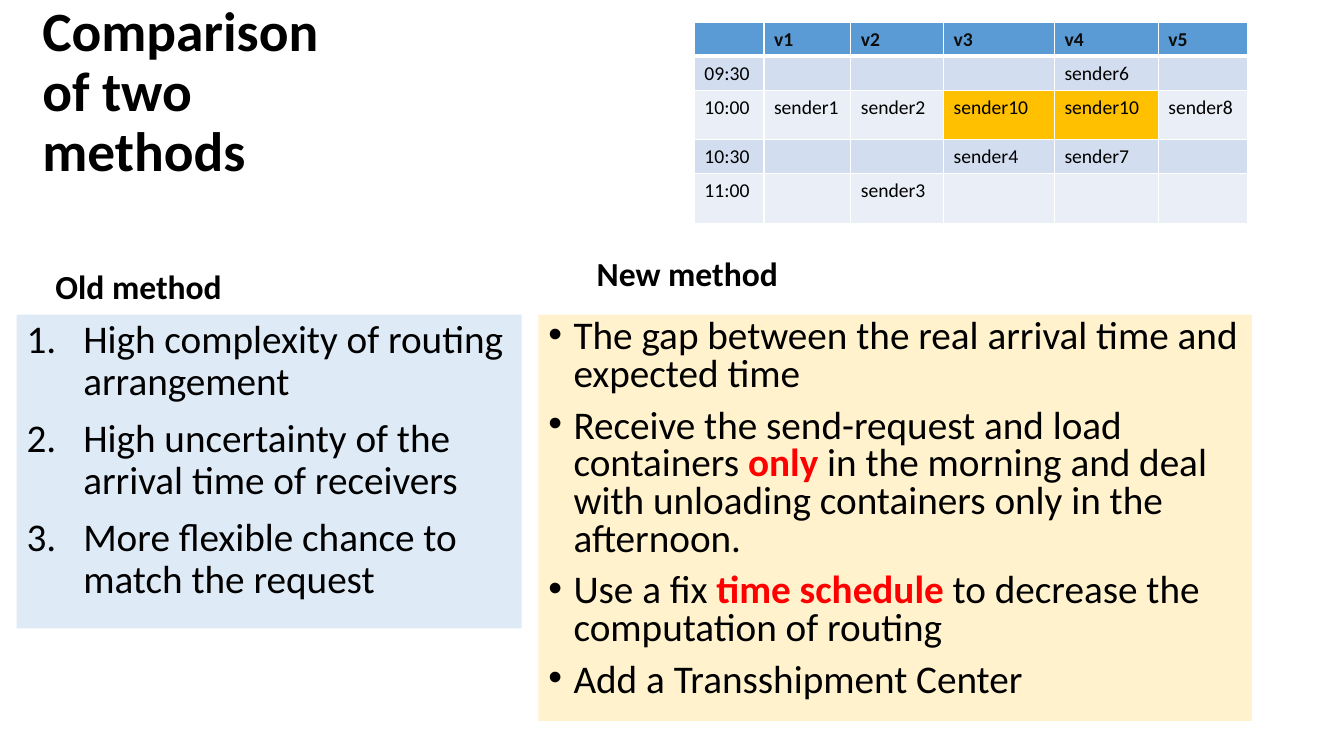
"""Build the slide that compares the old and new routing methods."""
import dataclasses

import lxml.etree
import pptx
import pptx.dml.color
import pptx.enum.text
import pptx.oxml.ns
import pptx.util

Pt = pptx.util.Pt
qn = pptx.oxml.ns.qn
RGB = pptx.dml.color.RGBColor.from_string
Align = pptx.enum.text.PP_ALIGN
Anchor = pptx.enum.text.MSO_ANCHOR


@dataclasses.dataclass(frozen=True)
class Theme:
    font: str = "Calibri"
    title_size: float = 39.6
    heading_size: float = 24
    list_size: float = 28
    table_size: float = 14
    ink: str = "000000"
    header_ink: str = "0D0D0D"
    emphasis: str = "FF0000"
    old_panel: str = "DEEBF7"
    new_panel: str = "FFF2CC"
    header_fill: str = "5B9BD5"
    bands: tuple = ("D2DEEF", "EAEFF7")
    highlight: str = "FFC000"
    border: str = "FFFFFF"


class SlideBuilder:
    def __init__(self, slide, theme):
        self.slide = slide
        self.theme = theme

    def style(self, font, size, color, bold=False):
        font.name = self.theme.font
        font.size = Pt(size)
        font.bold = bold
        font.color.rgb = RGB(color)

    def place(self, idx, box, anchor):
        holder = next(p for p in self.slide.placeholders
                      if p.placeholder_format.idx == idx)
        holder.left, holder.top, holder.width, holder.height = map(Pt, box)
        frame = holder.text_frame
        frame.word_wrap = True
        frame.auto_size = pptx.enum.text.MSO_AUTO_SIZE.NONE
        frame.vertical_anchor = anchor
        return holder

    def heading(self, idx, box, text, size, anchor, space_before=0):
        frame = self.place(idx, box, anchor).text_frame
        frame.text = text
        paragraph = frame.paragraphs[0]
        paragraph.alignment = Align.LEFT
        paragraph.line_spacing = 0.9
        paragraph.space_before = Pt(space_before)
        self.style(paragraph.font, size, self.theme.ink, True)

    def points(self, idx, box, items, fill, bullet, indent, line_spacing):
        holder = self.place(idx, box, Anchor.TOP)
        holder.fill.solid()
        holder.fill.fore_color.rgb = RGB(fill)
        frame = holder.text_frame
        for number, pieces in enumerate(items):
            paragraph = frame.add_paragraph() if number else frame.paragraphs[0]
            paragraph.line_spacing = line_spacing
            paragraph.space_before = Pt(10)
            properties = paragraph._p.get_or_add_pPr()
            properties.set("marL", str(Pt(indent)))
            properties.set("indent", str(Pt(-indent)))
            tag, attributes = bullet
            lxml.etree.SubElement(properties, qn(tag), attributes)
            self.style(paragraph.font, self.theme.list_size, self.theme.ink)
            for position, piece in enumerate(pieces):
                run = paragraph.add_run()
                run.text = piece
                if position % 2:
                    run.font.bold = True
                    run.font.color.rgb = RGB(self.theme.emphasis)

    def border(self, cell, is_header):
        properties = cell._tc.get_or_add_tcPr()
        for side in "LRTB":
            width = 3 if is_header and side == "B" else 1
            line = lxml.etree.SubElement(properties, qn(f"a:ln{side}"), w=str(Pt(width)))
            solid = lxml.etree.SubElement(line, qn("a:solidFill"))
            lxml.etree.SubElement(solid, qn("a:srgbClr"), val=self.theme.border)

    def schedule(self, box, rows, widths, heights, highlighted):
        theme = self.theme
        table = self.slide.shapes.add_table(len(rows), len(widths), *map(Pt, box)).table
        for column, width in zip(table.columns, widths):
            column.width = Pt(width)
        for r, (row, height) in enumerate(zip(rows, heights)):
            table.rows[r].height = Pt(height)
            for c, text in enumerate(row):
                cell = table.cell(r, c)
                cell.text = text
                self.border(cell, r == 0)
                fill = theme.bands[(r - 1) % 2] if r else theme.header_fill
                cell.fill.solid()
                cell.fill.fore_color.rgb = RGB(theme.highlight if text == highlighted else fill)
                paragraph = cell.text_frame.paragraphs[0]
                ink = theme.ink if r else theme.header_ink
                self.style(paragraph.font, theme.table_size, ink, r == 0)
                if not text:
                    paragraph._p.get_or_add_endParaRPr().set("sz", str(theme.table_size * 100))


OLD_METHOD = [
    ["High complexity of routing arrangement"],
    ["High uncertainty of the arrival time of receivers"],
    ["More flexible chance to match the request"],
]
NEW_METHOD = [
    ["The gap between the real arrival time and expected time"],
    ["Receive the send-request and load containers ", "only",
     " in the morning and deal with unloading containers only in the afternoon."],
    ["Use a fix ", "time schedule ", "to decrease the computation of routing"],
    ["Add a Transshipment Center"],
]
SCHEDULE = [
    ["", "v1", "v2", "v3", "v4", "v5"],
    ["09:30", "", "", "", "sender6", ""],
    ["10:00", "sender1", "sender2", "sender10", "sender10", "sender8"],
    ["10:30", "", "", "sender4", "sender7", ""],
    ["11:00", "", "sender3", "", "", ""],
]


def main():
    theme = Theme()
    deck = pptx.Presentation()
    deck.slide_width, deck.slide_height = Pt(960), Pt(540)
    comparison_layout = deck.slide_layouts[4]
    builder = SlideBuilder(deck.slides.add_slide(comparison_layout), theme)

    builder.heading(0, (23, 33.8, 248.4, 66.2), "Comparison of two methods",
                    theme.title_size, Anchor.MIDDLE)
    builder.heading(1, (32.4, 157.7, 277.2, 64.8), "Old method",
                    theme.heading_size, Anchor.BOTTOM, 10)
    builder.points(2, (11.8, 224.8, 360.8, 224), OLD_METHOD, theme.old_panel,
                   ("a:buAutoNum", {"type": "arabicPeriod"}), 40.5, 0.9)
    builder.heading(3, (419, 148.3, 408.2, 64.8), "New method",
                    theme.heading_size, Anchor.BOTTOM, 10)
    builder.points(4, (384.5, 224.8, 509.8, 290.2), NEW_METHOD, theme.new_panel,
                   ("a:buChar", {"char": "•"}), 18, 0.8)
    builder.schedule((496, 16, 396, 142.6), SCHEDULE, (49.7, 62, 66.3, 79.2, 74.2, 64.1),
                     (21, 21, 35.3, 21, 35.3), "sender10")
    deck.save("out.pptx")


if __name__ == "__main__":
    main()
